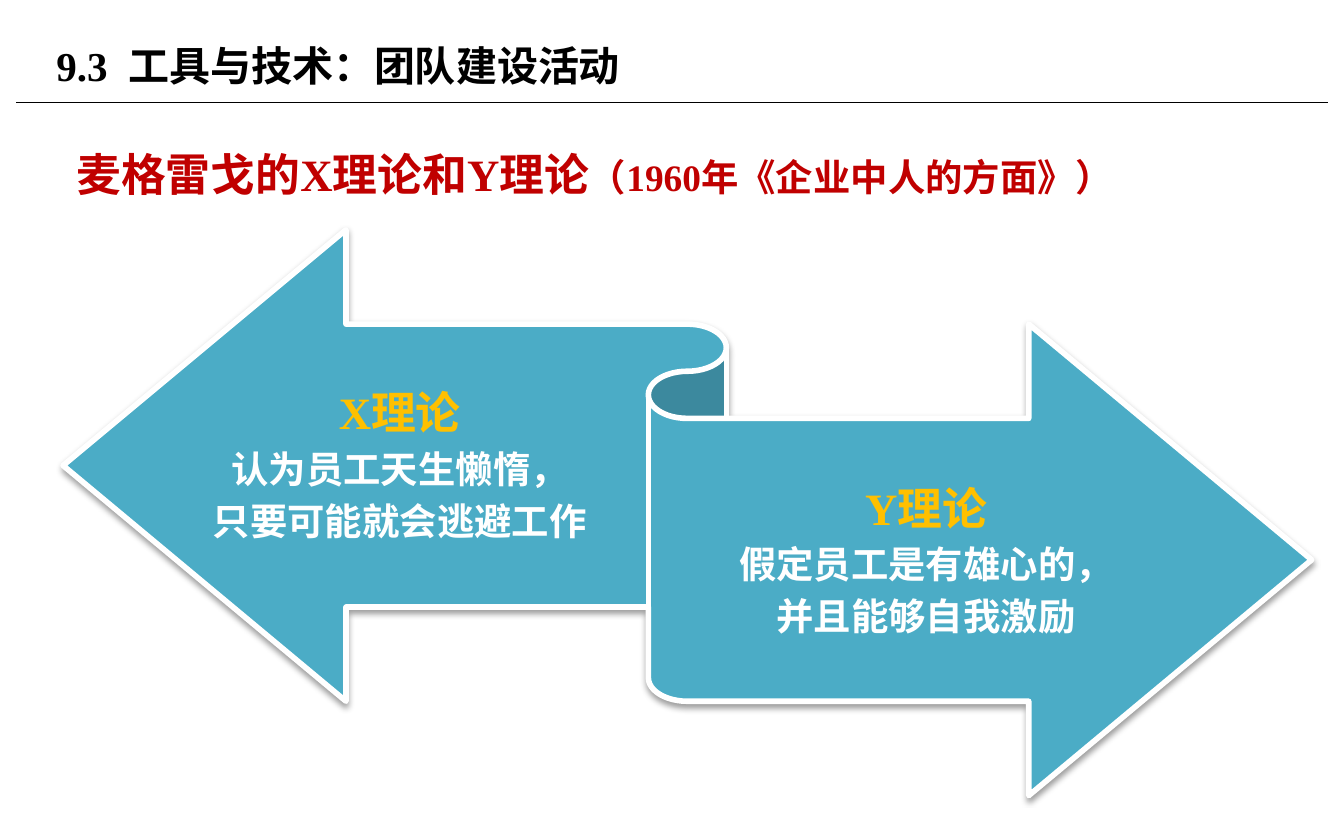
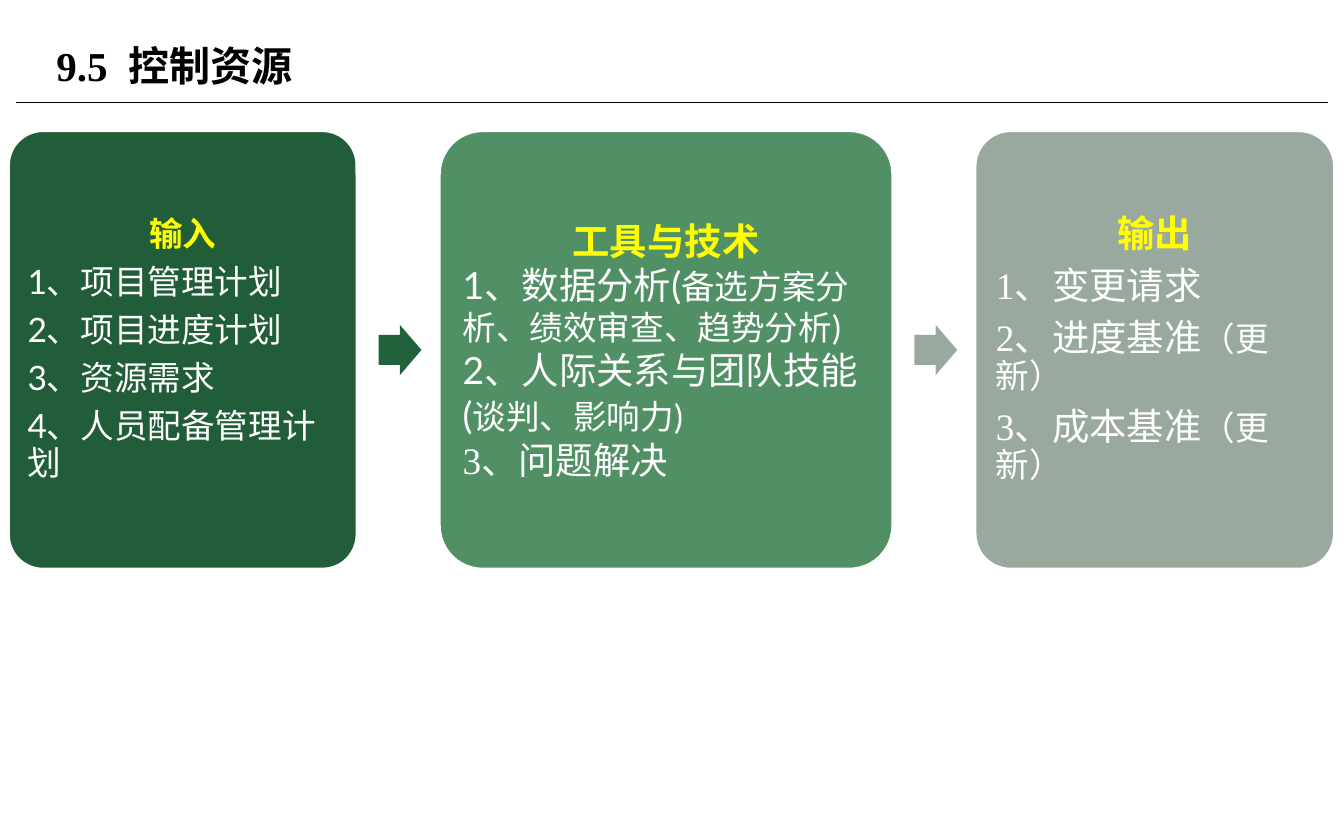
from lxml.etree import SubElement
from pptx import Presentation
from pptx.dml.color import RGBColor
from pptx.enum.shapes import MSO_CONNECTOR, MSO_SHAPE
from pptx.enum.text import MSO_ANCHOR, PP_ALIGN
from pptx.oxml.ns import qn
from pptx.util import Pt

BLACK = RGBColor(0x00, 0x00, 0x00)
WHITE = RGBColor(0xFF, 0xFF, 0xFF)
RED = RGBColor(0xC0, 0x00, 0x00)
GOLD = RGBColor(0xFF, 0xC0, 0x00)
YELLOW = RGBColor(0xFF, 0xFF, 0x00)
TEAL = RGBColor(0x4B, 0xAC, 0xC6)
DARK_GREEN = RGBColor(0x21, 0x5D, 0x38)
MID_GREEN = RGBColor(0x51, 0x90, 0x65)
GREY_GREEN = RGBColor(0x9A, 0xA9, 0x9E)
ARROW_GREEN = RGBColor(0x22, 0x62, 0x3B)
ARROW_GREY = RGBColor(0x99, 0xA9, 0x9D)

SERIF, SANS = "Times New Roman", "Lato"
LEFT, CENTER = PP_ALIGN.LEFT, PP_ALIGN.CENTER
SPACED = {"line_spacing": 0.9, "space_after": Pt(6.3)}


def write(sp, paragraphs, para_format, frame_format):
    """Fill sp with (alignment, runs); a run is (text, size, font, colour, bold)."""
    tf = sp.text_frame
    for name, value in {"word_wrap": True, **frame_format}.items():
        setattr(tf, name, value)
    for i, (alignment, runs) in enumerate(paragraphs):
        p = tf.paragraphs[0] if i == 0 else tf.add_paragraph()
        for name, value in {"alignment": alignment, **para_format}.items():
            setattr(p, name, value)
        for text, size, font, color, bold in runs:
            r = p.add_run()
            r.text = text
            for name, value in {"size": Pt(size), "name": font, "bold": bold}.items():
                setattr(r.font, name, value)
            r.font.color.rgb = color


def add_filled(s, kind, box, fill, line_width=0):
    sp = s.shapes.add_shape(kind, *map(Pt, box))
    sp.shadow.inherit = False
    sp.fill.solid()
    sp.fill.fore_color.rgb = fill
    if line_width:
        sp.line.color.rgb = WHITE
        sp.line.width = Pt(line_width)
    else:
        sp.line.fill.background()
    return sp


prs = Presentation()
prs.slide_width, prs.slide_height = Pt(720), Pt(450)
layout = prs.slide_layouts[5]

# Titles, and the rule below them, which the layout holds
slides = []
for title in ("9.3  工具与技术：团队建设活动", "9.5  控制资源"):
    s = prs.slides.add_slide(layout)
    sp = s.shapes.title
    sp.left, sp.top, sp.width, sp.height = map(Pt, (23, 9.4, 459.4, 51))
    write(sp, [(LEFT, [(title, 22, SERIF, BLACK, True)])], {},
          {"vertical_anchor": MSO_ANCHOR.MIDDLE})
    slides.append(s)
theory, control = slides

rule = theory.shapes.add_connector(MSO_CONNECTOR.STRAIGHT, Pt(8.6), Pt(54.9), Pt(711.4), Pt(54.9))
rule.line.color.rgb = BLACK
rule.line.width = Pt(0.75)
SubElement(rule._element.spPr, qn("a:effectLst"))
layout.shapes._spTree.append(rule._element)

# Theory X and theory Y
sp = theory.shapes.add_textbox(Pt(33.8), Pt(60.5), Pt(646.6), Pt(280.8))
write(sp, [(LEFT, [("麦格雷戈的X理论和Y理论", 24, SERIF, RED, True),
                   ("（1960年《企业中人的方面》）", 20, SERIF, RED, True)])],
      {"line_spacing": 1.5}, {})

ribbon = add_filled(theory, MSO_SHAPE.LEFT_RIGHT_RIBBON, (33.8, 123.1, 668.9, 303.1), TEAL, 3)
effects = ribbon._element.spPr.find(qn("a:effectLst"))
shadow = SubElement(effects, qn("a:outerShdw"), blurRad=str(Pt(3.1)), dist=str(Pt(1.6)),
                    dir="5400000", rotWithShape="0")
shadow_color = SubElement(shadow, qn("a:srgbClr"), val=str(BLACK))
SubElement(shadow_color, qn("a:alpha"), val="38000")

sides = [
    ((82.1, 185, 264.2, 131), "X理论", ("认为员工天生懒惰，", "只要可能就会逃避工作")),
    ((365.8, 236.2, 260.6, 131), "Y理论", ("假定员工是有雄心的，", "并且能够自我激励")),
]
for box, heading, lines in sides:
    sp = theory.shapes.add_textbox(*map(Pt, box))
    write(sp, [(CENTER, [(heading, 24, SERIF, GOLD, True)])]
          + [(CENTER, [(line, 20, SERIF, WHITE, True)]) for line in lines],
          SPACED, {"vertical_anchor": MSO_ANCHOR.MIDDLE, "margin_left": 0, "margin_right": 0,
                   "margin_top": Pt(6.5), "margin_bottom": Pt(7.2)})

# Inputs, tools and outputs: width, fill, following arrow, inset, spacing, heading size, lines
panels = [
    (187.2, DARK_GREEN, ARROW_GREEN, 5, SPACED, "输入", 18, [
        [("1、项目管理计划", 18, SANS)],
        [("2、项目进度计划", 18, SANS)],
        [("3、资源需求", 18, SANS)],
        [("4、人员配备管理计划", 18, SANS)]]),
    (243.4, MID_GREEN, ARROW_GREY, 5.8, {}, "工具与技术", 20, [
        [("1、数据分析(", 20, SANS), ("备选方案分析、绩效审查、趋势分析)", 18, SANS)],
        [("2、人际关系与团队技能(", 20, SANS), ("谈判、影响力)", 18, SANS)],
        [("3、问题解决", 20, SERIF)]]),
    (193, GREY_GREEN, None, 5.8, SPACED, "输出", 20, [
        [("1、变更请求", 20, SERIF)],
        [("2、进度基准", 20, SERIF), ("（更新）", 18, SERIF)],
        [("3、成本基准", 20, SERIF), ("（更新）", 18, SERIF)]]),
]
TOP, HEIGHT, GAP = 69.8, 235.4, 43.6
ARROW_WIDTH, ARROW_HEIGHT = 23, 26.8
left = 4.3
for width, fill, arrow_fill, inset, spacing, heading, size, lines in panels:
    panel = add_filled(control, MSO_SHAPE.ROUNDED_RECTANGLE, (left, TOP, width, HEIGHT), fill, 2)
    panel.adjustments[0] = 0.1
    margins = {f"margin_{side}": Pt(inset) for side in ("left", "right", "top", "bottom")}
    write(panel, [(CENTER, [(heading, size, SANS, YELLOW, True)])]
          + [(LEFT, [(*run, WHITE, False) for run in line]) for line in lines],
          spacing, {"vertical_anchor": MSO_ANCHOR.MIDDLE, **margins})
    left += width + GAP
    if arrow_fill:
        arrow = add_filled(control, MSO_SHAPE.RIGHT_ARROW,
                           (left - GAP / 2 - ARROW_WIDTH / 2 + 1, TOP + (HEIGHT - ARROW_HEIGHT) / 2,
                            ARROW_WIDTH, ARROW_HEIGHT), arrow_fill)
        arrow.adjustments[0], arrow.adjustments[1] = 0.6, 0.5

prs.save("out.pptx")
